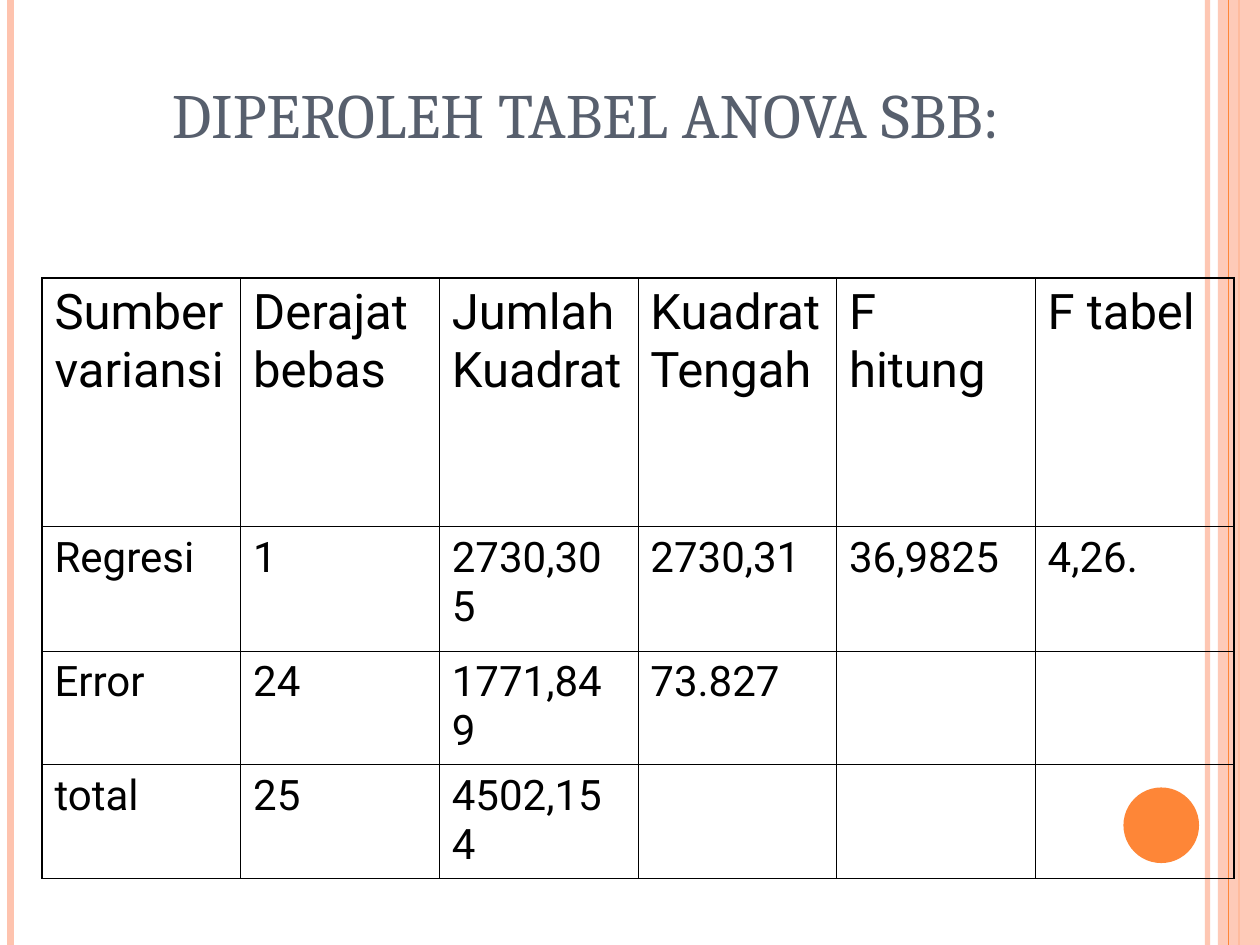
from pptx import Presentation
from pptx.dml.color import RGBColor
from pptx.enum.shapes import MSO_CONNECTOR as Conn, MSO_SHAPE as Shape
from pptx.enum.text import MSO_ANCHOR as Anchor, PP_ALIGN as Align
from pptx.oxml.ns import qn
from pptx.util import Pt
from lxml.etree import SubElement as Sub, Element

WIDE, HIGH = 720, 540
PEACH, ORANGE, SLATE, BLACK = "FEC3AE", "FE8637", "575F6D", "000000"
THIN, THICK = 0.45, 1.08
ROWS = [
    ["Sumber variansi", "Derajat bebas", "Jumlah Kuadrat",
     "Kuadrat Tengah", "F hitung", "F tabel"],
    ["Regresi", "1", "2730,305", "2730,31", "36,9825", "4,26."],
    ["Error", "24", "1771,849", "73.827", "", ""],
    ["total", "25", "4502,154", "", "", ""],
]


def rgb(code):
    return RGBColor.from_string(code)


def fade(fill, alpha):
    """Set the opacity, in percent, of a solid fill element."""
    Sub(fill[0], qn("a:alpha"), val=str(alpha * 1000))


def write(frame, text, size, font, color):
    para = frame.paragraphs[0]
    para.alignment = Align.LEFT
    run = para.add_run()
    run.text = text
    run.font.size = Pt(size)
    run.font.name = font
    run.font.bold = False
    run.font.color.rgb = rgb(color)


def stripe(slide, x, top, high, color, width, alpha=100):
    line = slide.shapes.add_connector(
        Conn.STRAIGHT, Pt(x), Pt(top), Pt(x), Pt(top + high))
    line.line.color.rgb = rgb(color)
    line.line.width = Pt(width)
    props = line._element.spPr
    Sub(props, qn("a:effectLst"))
    if alpha < 100:
        fade(props.find(qn("a:ln")).find(qn("a:solidFill")), alpha)


def solid(slide, kind, x, y, wide, high, color, alpha=100):
    shape = slide.shapes.add_shape(kind, Pt(x), Pt(y), Pt(wide), Pt(high))
    shape.shadow.inherit = False
    shape.fill.solid()
    shape.fill.fore_color.rgb = rgb(color)
    shape.line.fill.background()
    if alpha < 100:
        fade(shape._element.spPr.find(qn("a:solidFill")), alpha)


def decor(slide, x, y, wide, high):
    end = x + wide
    stripe(slide, end - 30, y, high, PEACH, 3, 93)
    stripe(slide, x + 6, y, high, PEACH, 4.5)
    stripe(slide, end - 12, y, high, ORANGE, 1.5)
    solid(slide, Shape.RECTANGLE, end - 24, y, 24, high, PEACH, 87)
    stripe(slide, end - 18, y, high, ORANGE, 0.75)
    solid(slide, Shape.OVAL, end - 78, y + high - 90, 43.2, 43.2, ORANGE)


def heading(slide, x, y, wide, high):
    title = slide.shapes.title
    title.left, title.top = Pt(x), Pt(y)
    title.width, title.height = Pt(wide), Pt(high)
    frame = title.text_frame
    frame.word_wrap = True
    frame.vertical_anchor = Anchor.BOTTOM
    write(frame, "DIPEROLEH TABEL ANOVA SBB:", 36, "Cambria", SLATE)


def border(cell, sides):
    """Draw the cell's edges; sides maps L, R, T, B to widths in points."""
    props = cell._tc.get_or_add_tcPr()
    for place, (side, width) in enumerate(sides.items()):
        line = Element(qn("a:ln" + side), w=str(Pt(width)))
        Sub(Sub(line, qn("a:solidFill")), qn("a:srgbClr"), val=BLACK)
        props.insert(place, line)


def anova(slide, x, y, wide, tall):
    rows, cols = len(ROWS), len(ROWS[0])
    table = slide.shapes.add_table(
        rows, cols, Pt(x), Pt(y), Pt(wide), Pt(sum(tall))).table
    table.first_row = table.horz_banding = False
    for col in table.columns:
        col.width = Pt(wide / cols)
    for r, (line, high) in enumerate(zip(ROWS, tall)):
        table.rows[r].height = Pt(high)
        for c, text in enumerate(line):
            cell = table.cell(r, c)
            cell.fill.background()
            border(cell, {
                "L": THICK if c == 0 else THIN,
                "R": THICK if c == cols - 1 else THIN,
                "T": THICK if r == 0 else THIN,
                "B": THICK if r == rows - 1 else THIN,
            })
            if text:
                write(cell.text_frame, text, 24 if r else 28, "Roboto", BLACK)


def main():
    deck = Presentation()
    deck.slide_width, deck.slide_height = Pt(WIDE), Pt(HIGH)
    slide = deck.slides.add_slide(deck.slide_layouts[5])
    decor(slide, 0, 0, WIDE, HIGH)
    heading(slide, 91, 16.5, 613, 73.5)
    anova(slide, 24, 159, 681, [142, 71, 65, 65])
    deck.save("out.pptx")


if __name__ == "__main__":
    main()
